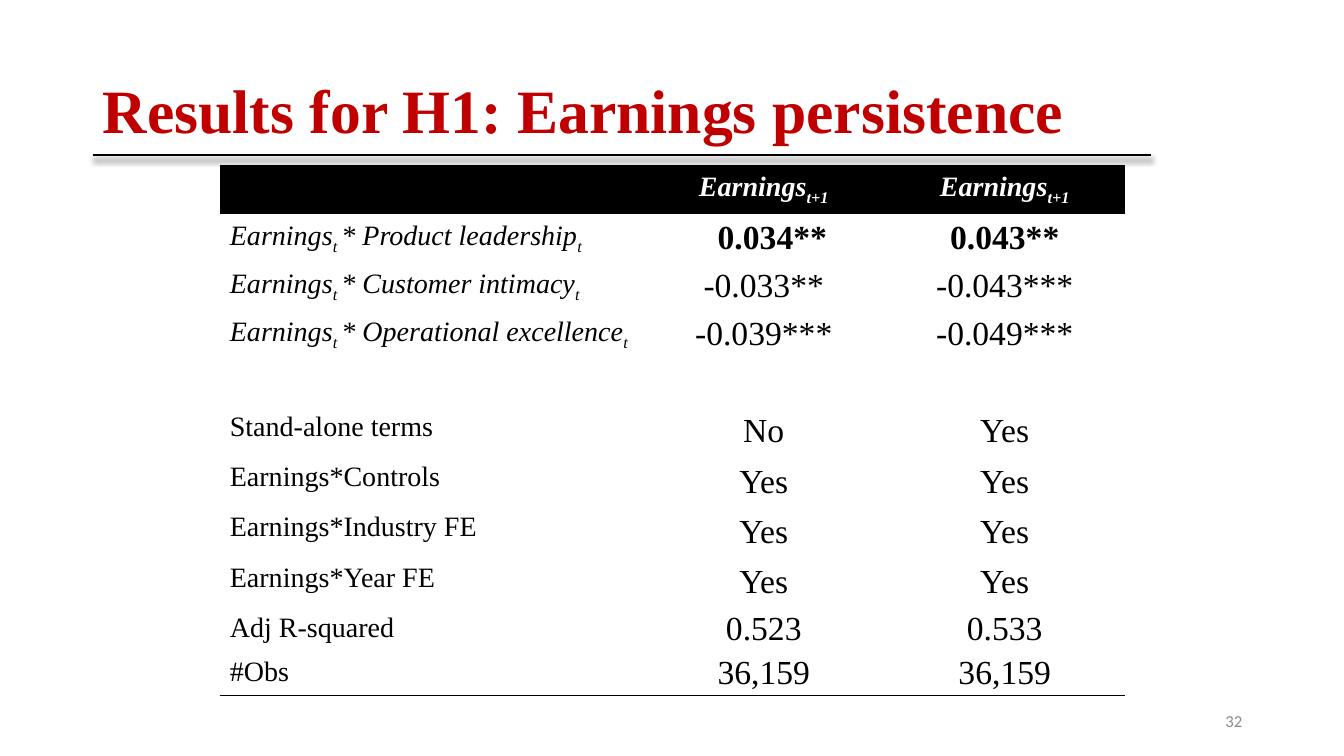
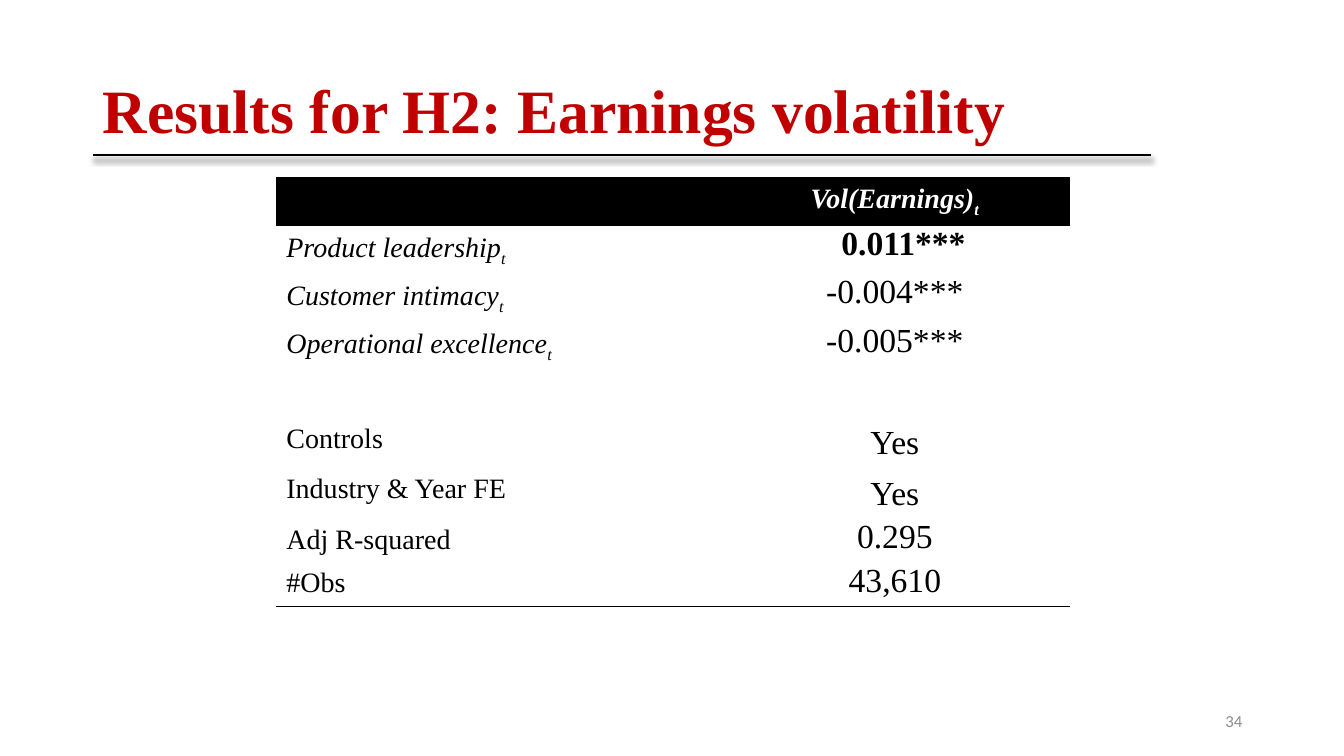
from dataclasses import dataclass

from lxml.etree import SubElement
from pptx import Presentation
from pptx.dml.color import RGBColor
from pptx.enum.shapes import MSO_CONNECTOR
from pptx.enum.text import MSO_ANCHOR, PP_ALIGN
from pptx.oxml import parse_xml
from pptx.oxml.ns import nsdecls, qn
from pptx.util import Inches, Pt


@dataclass(frozen=True)
class Theme:
    serif: str = "Times New Roman"
    sans: str = "Calibri"
    red: str = "C00000"
    black: str = "000000"
    white: str = "FFFFFF"
    grey: str = "8C8C8C"
    title: int = 44
    value: int = 24
    label: int = 20
    number: int = 12


T = Theme()
PLAIN_TABLE = "{2D5ABB26-0587-4C30-8999-92F81FD0307C}"
COEF_H, TERM_H, STAT_H = 0.45, 0.47, 0.41
SIGN_INDENT = 0.17

H1_HEADER = ["", "Earnings~t+1", "Earnings~t+1"]
H1_ROWS = [
    (COEF_H, ["Earnings~t ~* Product leadership~t", "0.034**", "0.043**"]),
    (COEF_H, ["Earnings~t ~* Customer intimacy~t", "-0.033**", "-0.043***"]),
    (COEF_H, ["Earnings~t ~* Operational excellence~t", "-0.039***", "-0.049***"]),
    (TERM_H, ["", "", ""]),
    (TERM_H, ["Stand-alone terms", "No", "Yes"]),
    (TERM_H, ["Earnings*Controls", "Yes", "Yes"]),
    (TERM_H, ["Earnings*Industry FE", "Yes", "Yes"]),
    (TERM_H, ["Earnings*Year FE", "Yes", "Yes"]),
    (STAT_H, ["Adj R-squared", "0.523", "0.533"]),
    (STAT_H, ["#Obs", "36,159", "36,159"]),
]
H2_HEADER = ["", "Vol(Earnings)~t"]
H2_ROWS = [
    (COEF_H, ["Product leadership~t", "0.011***"]),
    (COEF_H, ["Customer intimacy~t", "-0.004***"]),
    (COEF_H, ["Operational excellence~t", "-0.005***"]),
    (TERM_H, ["", ""]),
    (TERM_H, ["Controls", "Yes"]),
    (TERM_H, ["Industry & Year FE", "Yes"]),
    (STAT_H, ["Adj R-squared", "0.295"]),
    (STAT_H, ["#Obs", "43,610"]),
]


def write(tf, text, size, font=T.serif, color=T.black, bold=False, italic=False,
          align=PP_ALIGN.LEFT, spacing=None):
    """Write one paragraph; each ~ switches subscript on or off."""
    p = tf.paragraphs[0]
    p.alignment = align
    p.line_spacing = spacing
    for i, piece in enumerate(text.split("~")):
        r = p.add_run()
        r.text = piece
        f = r.font
        f.name, f.size, f.bold, f.italic = font, Pt(size), bold, italic
        f.color.rgb = RGBColor.from_string(color)
        if i % 2:
            r._r.get_or_add_rPr().set("baseline", "-25000")


def place(sp, left, top, width, height):
    sp.left, sp.top, sp.width, sp.height = map(Inches, (left, top, width, height))


def add_rule(s):
    """Draw the shadowed line under the title."""
    line = s.shapes.add_connector(MSO_CONNECTOR.STRAIGHT, Inches(0.92), Inches(1.54),
                                  Inches(11.42), Inches(1.54))
    line.line.width = Pt(1.5)
    line.line.color.rgb = RGBColor.from_string(T.black)
    line._element.spPr.append(parse_xml(
        f'<a:effectLst {nsdecls("a")}>'
        f'<a:outerShdw blurRad="{Pt(4)}" dist="{Pt(3)}" dir="5400000" rotWithShape="0">'
        f'<a:srgbClr val="{T.black}"><a:alpha val="40000"/></a:srgbClr>'
        '</a:outerShdw></a:effectLst>'))


def add_slide(prs, title, number):
    s = prs.slides.add_slide(prs.slide_layouts[5])
    add_rule(s)
    sp = s.shapes.title
    place(sp, 0.92, 0.4, 11.5, 1.45)
    tf = sp.text_frame
    tf.vertical_anchor = MSO_ANCHOR.MIDDLE
    write(tf, title, T.title, color=T.red, bold=True, spacing=0.9)
    tf = s.shapes.add_textbox(Inches(9.42), Inches(6.95), Inches(3), Inches(0.4)).text_frame
    tf.word_wrap = True
    tf.vertical_anchor = MSO_ANCHOR.MIDDLE
    write(tf, str(number), T.number, font=T.sans, color=T.grey, align=PP_ALIGN.RIGHT)
    return s


def add_border(cell, side):
    ln = SubElement(cell._tc.get_or_add_tcPr(), qn(f"a:ln{side}"), w=str(Pt(1)))
    fill = SubElement(ln, qn("a:solidFill"))
    SubElement(fill, qn("a:srgbClr"), val=T.black)


def fill_cell(cell, color):
    cell.fill.solid()
    cell.fill.fore_color.rgb = RGBColor.from_string(color)


def write_header(cell, text):
    add_border(cell, "T")
    fill_cell(cell, T.black)
    cell.vertical_anchor = MSO_ANCHOR.MIDDLE
    if text:
        write(cell.text_frame, text, T.label, color=T.white, bold=True, italic=True,
              align=PP_ALIGN.CENTER)


def write_label(cell, text):
    is_variable = "~" in text
    cell.vertical_anchor = MSO_ANCHOR.MIDDLE if is_variable else MSO_ANCHOR.TOP
    write(cell.text_frame, text, T.label, italic=is_variable)


def write_value(cell, text, bold, indent, number_anchor):
    cell.vertical_anchor = MSO_ANCHOR.MIDDLE
    if not text.isalpha():
        cell.vertical_anchor = number_anchor
        cell.margin_left, cell.margin_right = Inches(0.05 + indent), Inches(0.05)
        cell.margin_top = cell.margin_bottom = 0
    write(cell.text_frame, text, T.value, bold=bold, align=PP_ALIGN.CENTER)


def add_results(s, left, top, widths, header, rows, number_anchor=MSO_ANCHOR.MIDDLE):
    """Add a regression table whose first body row is the tested effect, in bold."""
    heights = [COEF_H] + [height for height, _ in rows]
    frame = s.shapes.add_table(len(heights), len(widths), Inches(left), Inches(top),
                               Inches(sum(widths)), Inches(sum(heights)))
    table = frame.table
    table._tbl.tblPr.find(qn("a:tableStyleId")).text = PLAIN_TABLE
    table.horz_banding = False
    for column, width in zip(table.columns, widths):
        column.width = Inches(width)
    for row, height in zip(table.rows, heights):
        row.height = Inches(height)
    for j, text in enumerate(header):
        write_header(table.cell(0, j), text)
    for i, (_, texts) in enumerate(rows, 1):
        for j, text in enumerate(texts):
            cell = table.cell(i, j)
            if i == len(rows):
                add_border(cell, "B")
            fill_cell(cell, T.white)
            if text and j == 0:
                write_label(cell, text)
            elif text:
                indent = SIGN_INDENT if (i, j) == (1, 1) else 0
                write_value(cell, text, i == 1, indent, number_anchor)


def main():
    prs = Presentation()
    prs.slide_width, prs.slide_height = Inches(13.33), Inches(7.5)
    s = add_slide(prs, "Results for H1: Earnings persistence", 32)
    add_results(s, 2.18, 1.64, [4.2, 2.39, 2.39], H1_HEADER, H1_ROWS)
    s = add_slide(prs, "Results for H2: Earnings volatility", 34)
    add_results(s, 2.74, 1.76, [4.4, 3.47], H2_HEADER, H2_ROWS, MSO_ANCHOR.TOP)
    prs.save("out.pptx")


if __name__ == "__main__":
    main()
